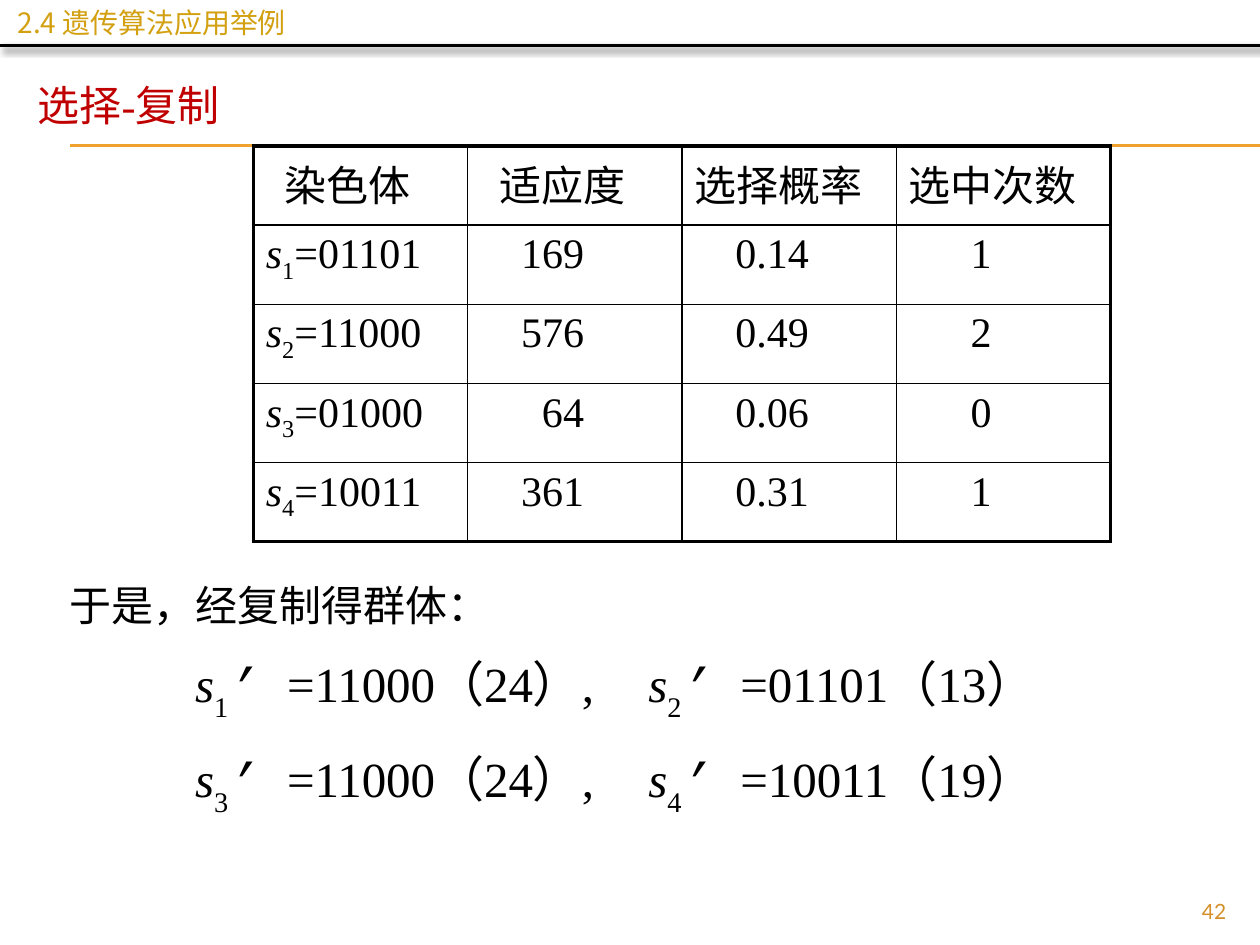
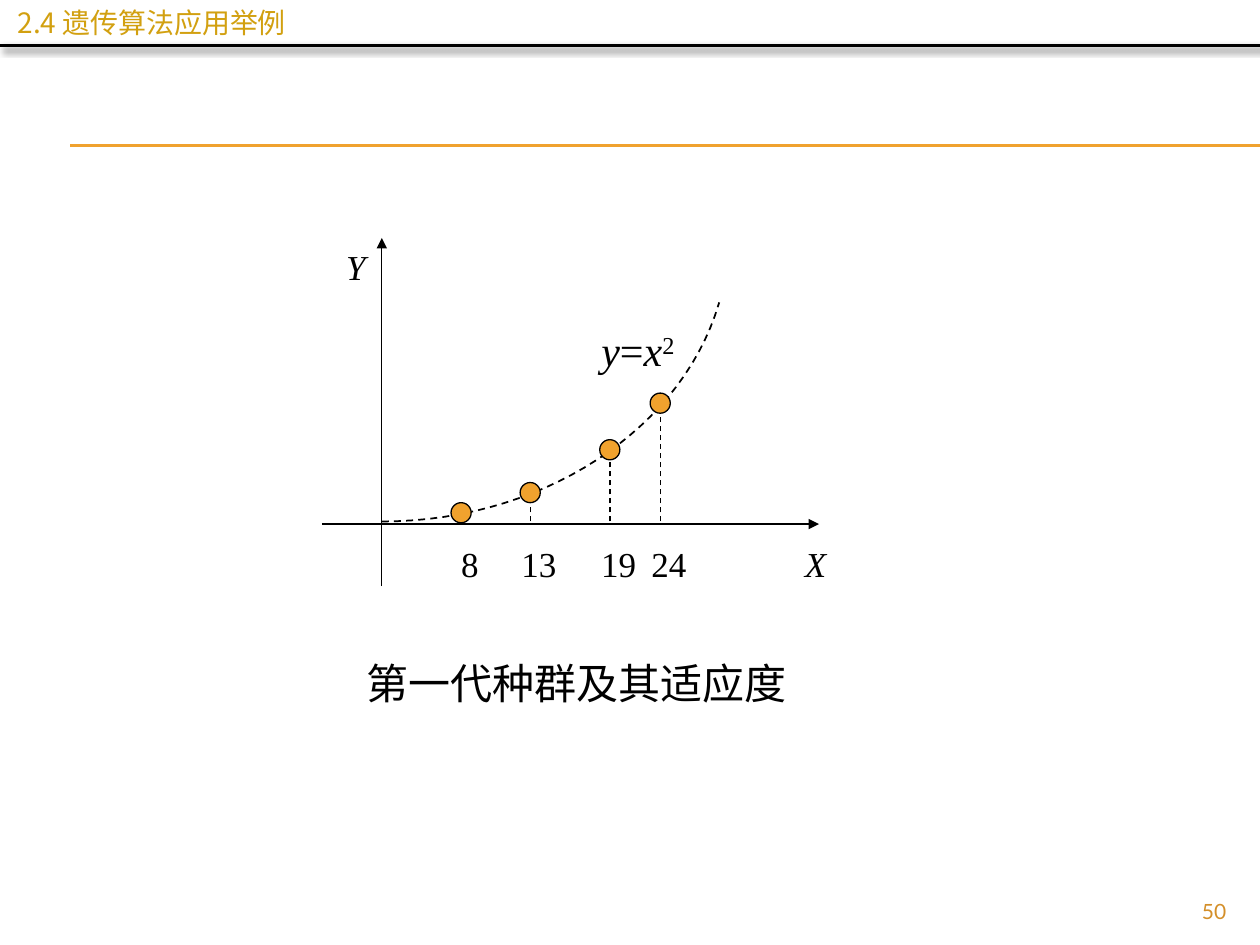
"""Build two slides on selection and the first generation of a genetic algorithm."""
from lxml.etree import SubElement
from pptx import Presentation
from pptx.dml.color import RGBColor
from pptx.enum.dml import MSO_LINE_DASH_STYLE as Dash
from pptx.enum.shapes import MSO_CONNECTOR as Connector, MSO_SHAPE as Shape
from pptx.enum.text import MSO_ANCHOR as Anchor, PP_ALIGN as Align
from pptx.oxml.ns import qn
from pptx.util import Pt

COLORS = {"ink": "000000", "accent": "F0A22E", "section": "D2A010",
          "number": "D48F29", "heading": "C00000"}
SERIF, HEADER_FONT, CJK = "Times New Roman", "Cabin", "Noto Sans CJK JP"
SECTION = "2.4 遗传算法应用举例"
BASELINES = {"sub": "-25000", "low": "-30000", "sup": "30000"}

TABLE_HEADERS = ["染色体", "适应度", "选择概率", "选中次数"]
HEADER_INDENTS = [18, 18, 7.2, 7.2]
NUMBER_MARGINS = [56, 50, 68]
CHROMOSOMES = [("01101", "169", "0.14", "1"), ("11000", "576", "0.49", "2"),
               ("01000", "64", "0.06", "0"), ("10011", "361", "0.31", "1")]
COPIES = [[("1", "=11000（24）,"), ("2", "=01101（13）")],
          [("3", "=11000（24）,"), ("4", "=10011（19）")]]
DOTS = {"8": (79.5, 159), "13": (119, 147.5), "19": (164.5, 123), "24": (193.3, 96.4)}
CURVE = [(34.2, 164), (125.6, 164), (205.5, 112.2), (227, 38.8)]


def rgb(name):
    """Return the named colour."""
    return RGBColor.from_string(COLORS[name])


def style_span(span, size, font=SERIF, color="ink", kind=""):
    """Format one run, with an optional italic or raised or lowered kind."""
    span.font.size = Pt(size)
    span.font.name = font
    span.font.color.rgb = rgb(color)
    span.font.italic = kind in ("italic", "prime")
    properties = span._r.get_or_add_rPr()
    if kind in BASELINES:
        properties.set("baseline", BASELINES[kind])
    SubElement(properties, qn("a:ea"), typeface=CJK)


def write(para, parts, size, font=SERIF, color="ink"):
    """Write plain text or a list of (text, kind) runs into a paragraph."""
    if isinstance(parts, str):
        parts = [(parts, "")]
    for text, kind in parts:
        span = para.add_run()
        span.text = text
        style_span(span, size, "Courier New" if kind == "prime" else font, color, kind)


def add_text(page, box, parts, size, font=SERIF, color="ink", align=Align.LEFT,
             inset=0):
    """Add a text box with one paragraph and return its frame."""
    frame = page.shapes.add_textbox(*map(Pt, box)).text_frame
    frame.word_wrap = True
    frame.margin_left = frame.margin_right = Pt(inset)
    frame.margin_top = frame.margin_bottom = Pt(inset / 2)
    para = frame.paragraphs[0]
    para.alignment = align
    write(para, parts, size, font, color)
    return frame


def add_line(page, start, end, color="ink", width=0.75, dashed=False, arrow=False,
             shadow=False):
    """Draw a straight line, optionally dashed, arrowed or shadowed."""
    line = page.shapes.add_connector(Connector.STRAIGHT, *map(Pt, (*start, *end)))
    line.line.color.rgb = rgb(color)
    line.line.width = Pt(width)
    if dashed:
        line.line.dash_style = Dash.DASH
    properties = line._element.spPr
    if arrow:
        SubElement(properties.find(qn("a:ln")), qn("a:tailEnd"), type="triangle")
    effects = SubElement(properties, qn("a:effectLst"))
    if shadow:
        outer = SubElement(effects, qn("a:outerShdw"), blurRad=str(Pt(4)),
                           dist=str(Pt(3)), dir="2700000", rotWithShape="0")
        ink = SubElement(outer, qn("a:srgbClr"), val=COLORS["ink"])
        SubElement(ink, qn("a:alpha"), val="40000")


def add_page(deck, number):
    """Add a slide with the section title, rules and page number."""
    page = deck.slides.add_slide(deck.slide_layouts[5])
    for y in (82.8, 83.5):
        add_line(page, (40.3, y), (720, y), "accent")
    title = page.shapes.title
    title.left, title.top, title.width, title.height = map(Pt, (2.9, -0.7, 397, 27))
    frame = title.text_frame
    frame.text = SECTION
    frame.vertical_anchor = Anchor.MIDDLE
    frame.paragraphs[0].alignment = Align.LEFT
    style_span(frame.paragraphs[0].runs[0], 16, CJK, "section")
    add_line(page, (0, 26), (720, 26), width=2, shadow=True)
    add_text(page, (648, 510, 59.8, 19.4), str(number), 12, "Lato", "number",
             Align.RIGHT, 7.2)
    return page


def set_borders(cell, widths):
    """Draw the left, right, top and bottom borders of a cell."""
    properties = cell._tc.get_or_add_tcPr()
    for index, (side, width) in enumerate(zip("LRTB", widths)):
        border = SubElement(properties, qn(f"a:ln{side}"), w=str(Pt(width)))
        fill = SubElement(border, qn("a:solidFill"))
        SubElement(fill, qn("a:srgbClr"), val=COLORS["ink"])
        properties.insert(index, border)


def add_selection_table(page, box):
    """Add the table of fitness values and selection counts."""
    row_count, column_count = len(CHROMOSOMES) + 1, len(TABLE_HEADERS)
    table = page.shapes.add_table(row_count, column_count, *map(Pt, box)).table
    table.first_row = table.horz_banding = False
    for column in table.columns:
        column.width = Pt(box[2] / column_count)
    for row in table.rows:
        row.height = Pt(box[3] / row_count)
    for r in range(row_count):
        for c in range(column_count):
            cell = table.cell(r, c)
            para = cell.text_frame.paragraphs[0]
            if r == 0:
                cell.margin_left = Pt(HEADER_INDENTS[c])
                write(para, TABLE_HEADERS[c], 24, HEADER_FONT)
            elif c == 0:
                write(para, [("s", "italic"), (str(r), "sub"),
                             ("=" + CHROMOSOMES[r - 1][0], "")], 24)
            else:
                cell.margin_right = Pt(NUMBER_MARGINS[c - 1])
                para.alignment = Align.RIGHT
                write(para, CHROMOSOMES[r - 1][c], 24)
            cell.fill.background()
            edges = (c == 0, c == column_count - 1, r == 0, r == row_count - 1)
            set_borders(cell, [2.25 if edge else 1 for edge in edges])


def add_copied_population(page, box):
    """Add the sentence and the two lines of copied chromosomes."""
    frame = add_text(page, box, "于是，经复制得群体：", 24, inset=7.2)
    frame.paragraphs[0].line_spacing = 0.9
    for pair, space in zip(COPIES, (5, 7)):
        para = frame.add_paragraph()
        para.line_spacing = 1.2
        para.space_before = Pt(space)
        tabs = SubElement(para._p.get_or_add_pPr(), qn("a:tabLst"))
        for stop in (72, 331):
            SubElement(tabs, qn("a:tab"), pos=str(Pt(stop)), algn="l")
        for index, value in pair:
            write(para, [("\ts", "italic"), (index, "low"), ("’ ", "prime"),
                         (value, "")], 28)


def bezier_point(t):
    """Return the point of the cubic curve at parameter t."""
    weights = ((1 - t) ** 3, 3 * t * (1 - t) ** 2, 3 * t * t * (1 - t), t ** 3)
    return tuple(sum(w * p[axis] for w, p in zip(weights, CURVE)) for axis in (0, 1))


def add_fitness_plot(page, box):
    """Draw the axes, the curve and the marked individuals."""
    left, top, width, height = box
    origin_x, axis_y, radius = left + 34.2, top + 165.5, 5.75
    add_line(page, (left, axis_y), (left + width, axis_y), arrow=True)
    add_line(page, (origin_x, top + height), (origin_x, top + 2), arrow=True)

    steps = 30
    points = [(Pt(left + x), Pt(top + y))
              for x, y in (bezier_point(i / steps) for i in range(steps + 1))]
    builder = page.shapes.build_freeform(*points[0])
    builder.add_line_segments(points[1:], close=False)
    curve = builder.convert_to_shape()
    curve.shadow.inherit = False
    curve.fill.background()
    curve.line.color.rgb = rgb("ink")
    curve.line.width = Pt(1)
    curve.line.dash_style = Dash.DASH

    labels = [("X", "italic", 282, 176), ("Y", "italic", 19.4, 6)]
    for value, (x, y) in DOTS.items():
        if value != "8":
            add_line(page, (left + x, axis_y - 1.5), (left + x, top + y), dashed=True)
        dot = page.shapes.add_shape(Shape.OVAL, Pt(left + x - radius),
                                    Pt(top + y - radius), Pt(2 * radius), Pt(2 * radius))
        dot.shadow.inherit = False
        dot.fill.solid()
        dot.fill.fore_color.rgb = rgb("accent")
        dot.line.color.rgb = rgb("ink")
        dot.line.width = Pt(0.75)
        labels.append((value, "", x + 5, 176))
    for text, kind, x, y in labels:
        add_text(page, (left + x - 14, top + y, 28, 24), [(text, kind)], 20,
                 align=Align.CENTER)
    formula = [("y", "italic"), ("=", ""), ("x", "italic"), ("2", "sup")]
    add_text(page, (left + 149, top + 51.5, 63, 29), formula, 24, align=Align.CENTER)


def main():
    """Build and save the deck."""
    deck = Presentation()
    deck.slide_width, deck.slide_height = Pt(720), Pt(540)

    selection = add_page(deck, 42)
    add_text(selection, (14.4, 41.8, 168, 41), "选择-复制", 24, color="heading", inset=7.2)
    add_selection_table(selection, (144.7, 83.5, 490, 226))
    add_copied_population(selection, (32.4, 331, 628.6, 142))

    generation = add_page(deck, 50)
    add_fitness_plot(generation, (184, 134, 284, 201))
    add_text(generation, (209.5, 375.8, 377, 29), "第一代种群及其适应度", 24, "Arial")

    deck.save("out.pptx")


if __name__ == "__main__":
    main()
